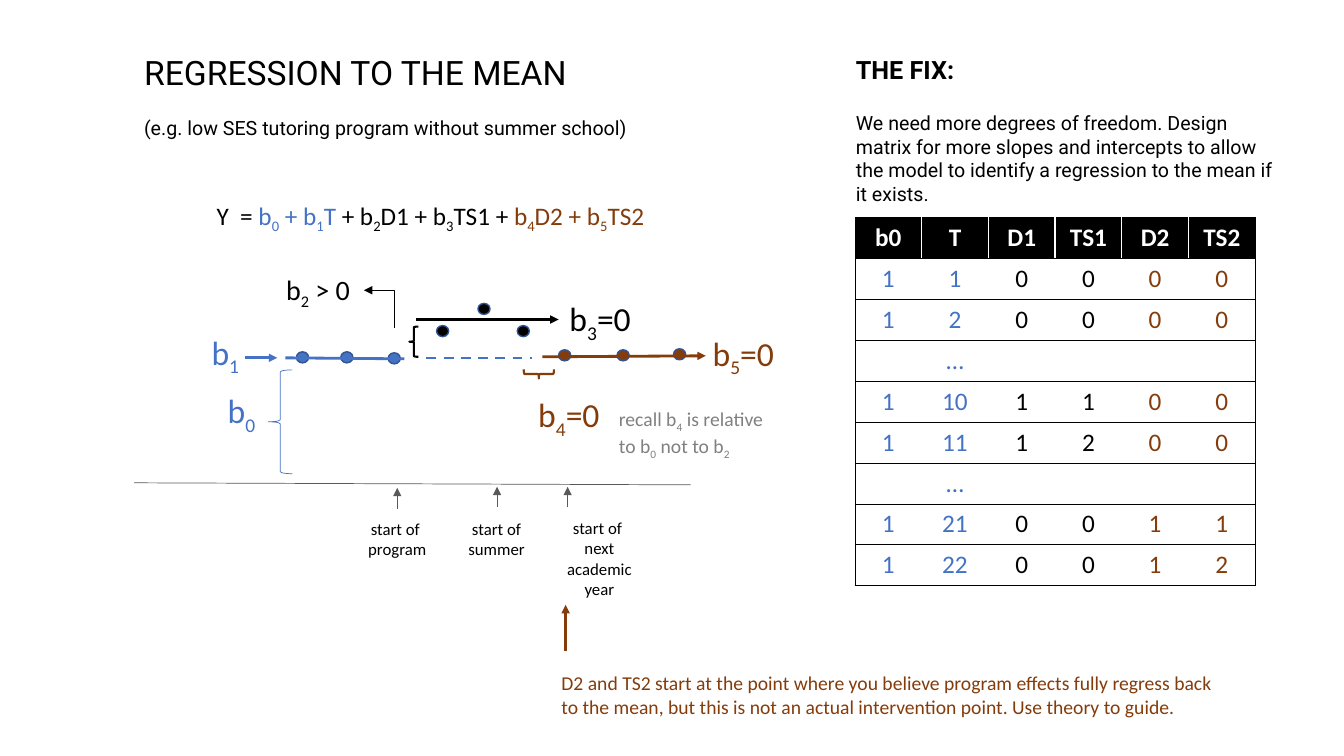
from lxml import etree
from pptx import Presentation
from pptx.dml.color import RGBColor
from pptx.enum.dml import MSO_LINE
from pptx.enum.shapes import MSO_CONNECTOR, MSO_SHAPE
from pptx.enum.text import MSO_ANCHOR, MSO_AUTO_SIZE, PP_ALIGN
from pptx.oxml.ns import qn
from pptx.util import Pt

PX = 9144
OVAL, BRACE = MSO_SHAPE.OVAL, MSO_SHAPE.LEFT_BRACE
STRAIGHT = MSO_CONNECTOR.STRAIGHT
DASH = MSO_LINE.DASH
LEFT, MID = PP_ALIGN.LEFT, PP_ALIGN.CENTER
TOP, CENTER = MSO_ANCHOR.TOP, MSO_ANCHOR.MIDDLE
FIXED = MSO_AUTO_SIZE.NONE

COLORS = {"black": "000000", "white": "FFFFFF", "blue": "4472C4",
          "brown": "843C0B", "gray": "808080", "axis": "595959",
          "rim": "325491"}

HEAD = ["b0", "T", "D1", "TS1", "D2", "TS2"]
ROWS = [
    [1, 1, 0, 0, 0, 0],
    [1, 2, 0, 0, 0, 0],
    ["", "…", "", "", "", ""],
    [1, 10, 1, 1, 0, 0],
    [1, 11, 1, 2, 0, 0],
    ["", "…", "", "", "", ""],
    [1, 21, 0, 0, 1, 1],
    [1, 22, 0, 0, 1, 2],
]
TONES = ["blue", "blue", "black", "black", "brown", "brown"]
DOTS = [("blue", [(294, 349), (338, 349), (385, 350)]),
        ("black", [(433, 323), (474, 301), (513, 323)]),
        ("brown", [(554, 347), (612, 347), (668, 346)])]
LABELS = [((200, 324, 49, 50), "b_1", "blue", 24),
          ((216, 382, 49, 50), "b_0", "blue", 24),
          ((274, 265, 83, 44), "b_2 > 0", "black", 20),
          ((555, 291, 83, 50), "b_3=0", "black", 24),
          ((524, 386, 83, 50), "b_4=0", "brown", 24),
          ((697, 325, 83, 50), "b_5=0", "brown", 24)]
STARTS = [((355, 510, 78, 50), ["start of ", "program"]),
          ((454, 510, 77, 50), ["start of", "summer"]),
          ((552, 509, 85, 91), ["start of ", "next", "academic", "year"])]
LINES = [((133, 479, 685, 481), "axis", 0.5, False),
         ((394, 505, 394, 484), "axis", 0.5, True),
         ((493, 503, 493, 483), "axis", 0.5, True),
         ((563, 503, 563, 483), "axis", 0.5, True),
         ((283, 355, 401, 356), "blue", 2, False),
         ((243, 355, 275, 355), "blue", 2, True),
         ((413, 317, 554, 317), "black", 2, True),
         ((538, 354, 700, 353), "brown", 2, True),
         ((561, 646, 561, 600), "brown", 2, True)]
BRACES = [((406, 324, 9, 30), "black", 1.5, 0),
          ((530, 356, 9, 30), "brown", 1.5, 270),
          ((266, 367, 24, 103), "blue", 0.5, 0)]


def px(*nums):
    return [n * PX for n in nums]


def rgb(tone):
    return RGBColor.from_string(COLORS[tone])


def style(item, form):
    for key, value in form.items():
        setattr(item, key, value)


def ink(line, tone, width):
    line.color.rgb = rgb(tone)
    line.width = Pt(width)


def write(para, text, tone, size, face="Calibri", bold=False):
    for n, part in enumerate(text.split("_")):
        bits = [(part[:1], True), (part[1:], False)] if n else [(part, False)]
        for bit, low in bits:
            if not bit:
                continue
            run = para.add_run()
            run.text = bit
            style(run.font, {"size": Pt(size), "name": face, "bold": bold})
            run.font.color.rgb = rgb(tone)
            if low:
                run._r.get_or_add_rPr().set("baseline", "-25000")


def frame(shape, box, wrap=False):
    style(shape, dict(zip(("left", "top", "width", "height"), px(*box))))
    style(shape.text_frame, {"word_wrap": wrap, "auto_size": FIXED,
                             "vertical_anchor": TOP})
    return shape.text_frame


def label(slide, box, rows, tone, size, align=LEFT, wrap=False,
          face="Calibri"):
    body = frame(slide.shapes.add_textbox(*px(*box)), box, wrap)
    for n, row in enumerate(rows):
        para = body.add_paragraph() if n else body.paragraphs[0]
        para.alignment = align
        write(para, row, tone, size, face)
    return body


def tip(line):
    etree.SubElement(line._get_or_add_ln(), qn("a:tailEnd"), type="triangle")


def stroke(slide, ends, tone, width, arrow=False, dash=None):
    link = slide.shapes.add_connector(STRAIGHT, *px(*ends))
    ink(link.line, tone, width)
    if dash:
        link.line.dash_style = dash
    if arrow:
        tip(link.line)
    etree.SubElement(link._element.spPr, qn("a:effectLst"))


def elbow(slide, start, rest):
    path = slide.shapes.build_freeform(*start, scale=PX)
    path.add_line_segments(rest, close=False)
    bend = path.convert_to_shape()
    bend.fill.background()
    bend.shadow.inherit = False
    ink(bend.line, "black", 0.5)
    tip(bend.line)


def dot(slide, spot, tone):
    mark = slide.shapes.add_shape(OVAL, *px(*spot, 12, 11))
    mark.fill.solid()
    mark.fill.fore_color.rgb = rgb(tone)
    mark.shadow.inherit = False
    ink(mark.line, "rim", 1)


def brace(slide, box, tone, width, turn):
    mark = slide.shapes.add_shape(BRACE, *px(*box))
    mark.fill.background()
    mark.shadow.inherit = False
    mark.rotation = turn
    ink(mark.line, tone, width)


def edge(cell, sides):
    props = cell._tc.get_or_add_tcPr()
    for n, side in enumerate(sides):
        line = etree.Element(qn("a:" + side), w=str(Pt(0.5)))
        fill = etree.SubElement(line, qn("a:solidFill"))
        etree.SubElement(fill, qn("a:srgbClr"), val=COLORS["black"])
        props.insert(n, line)


def matrix(slide):
    grid = [HEAD] + ROWS
    table = slide.shapes.add_table(len(grid), len(HEAD),
                                   *px(848, 216, 397, 365)).table
    table.horz_banding = False
    for r, row in enumerate(grid):
        for c, value in enumerate(row):
            cell = table.cell(r, c)
            cell.vertical_anchor = CENTER
            if r:
                cell.fill.background()
            else:
                cell.fill.solid()
                cell.fill.fore_color.rgb = rgb("black")
            para = cell.text_frame.paragraphs[0]
            para.alignment = MID
            write(para, str(value), TONES[c] if r else "white", 18,
                  bold=not r)
            sides = ["lnL"] * (c == 0) + ["lnR"] * (c == len(HEAD) - 1)
            edge(cell, sides + ["lnT", "lnB"])


def words(slide):
    head = frame(slide.shapes.title, (133, 46, 512, 49))
    head.paragraphs[0].alignment = LEFT
    write(head.paragraphs[0], "REGRESSION TO THE MEAN", "black", 24, "Roboto")
    label(slide, (133, 110, 512, 34),
          ["(e.g. low SES tutoring program without summer school)"],
          "black", 14, face="Roboto")
    fix = label(slide, (839, 49, 442, 162), [""], "black", 18, wrap=True)
    write(fix.paragraphs[0], "THE FIX:", "black", 18, "Roboto", True)
    need = fix.add_paragraph()
    need.space_before = Pt(19)
    write(need, "We need more degrees of freedom. Design matrix for more "
          "slopes and intercepts to allow the model to identify a regression "
          "to the mean if it exists.", "black", 14, "Roboto")
    model = label(slide, (205, 194, 457, 40), [""], "black", 18)
    for text, tone in [("Y  = ", "black"), ("b_0 + b_1T ", "blue"),
                       ("+ b_2D1 + b_3TS1 + ", "black"),
                       ("b_4D2 + b_5TS2", "brown")]:
        write(model.paragraphs[0], text, tone, 18)
    for box, text, tone, size in LABELS:
        label(slide, box, [text], tone, size)
    for box, rows in STARTS:
        label(slide, box, rows, "black", 12, MID)
    label(slide, (604, 399, 170, 57),
          ["recall b_4 is relative", "to b_0 not to b_2"], "gray", 14)
    label(slide, (547, 661, 680, 57),
          ["D2 and TS2 start at the point where you believe program effects "
           "fully regress back to the mean, but this is not an actual "
           "intervention point. Use theory to guide."],
          "brown", 14, wrap=True)


def main():
    deck = Presentation()
    style(deck, {"slide_width": 1333 * PX, "slide_height": 750 * PX})
    slide = deck.slides.add_slide(deck.slide_layouts[5])
    for tone, spots in DOTS:
        for spot in spots:
            dot(slide, spot, tone)
    for item in LINES:
        stroke(slide, *item)
    stroke(slide, (423, 355, 528, 355), "blue", 1.75, dash=DASH)
    elbow(slide, (391, 325), [(391, 288), (361, 288)])
    for item in BRACES:
        brace(slide, *item)
    words(slide)
    matrix(slide)
    deck.save("out.pptx")


if __name__ == "__main__":
    main()
